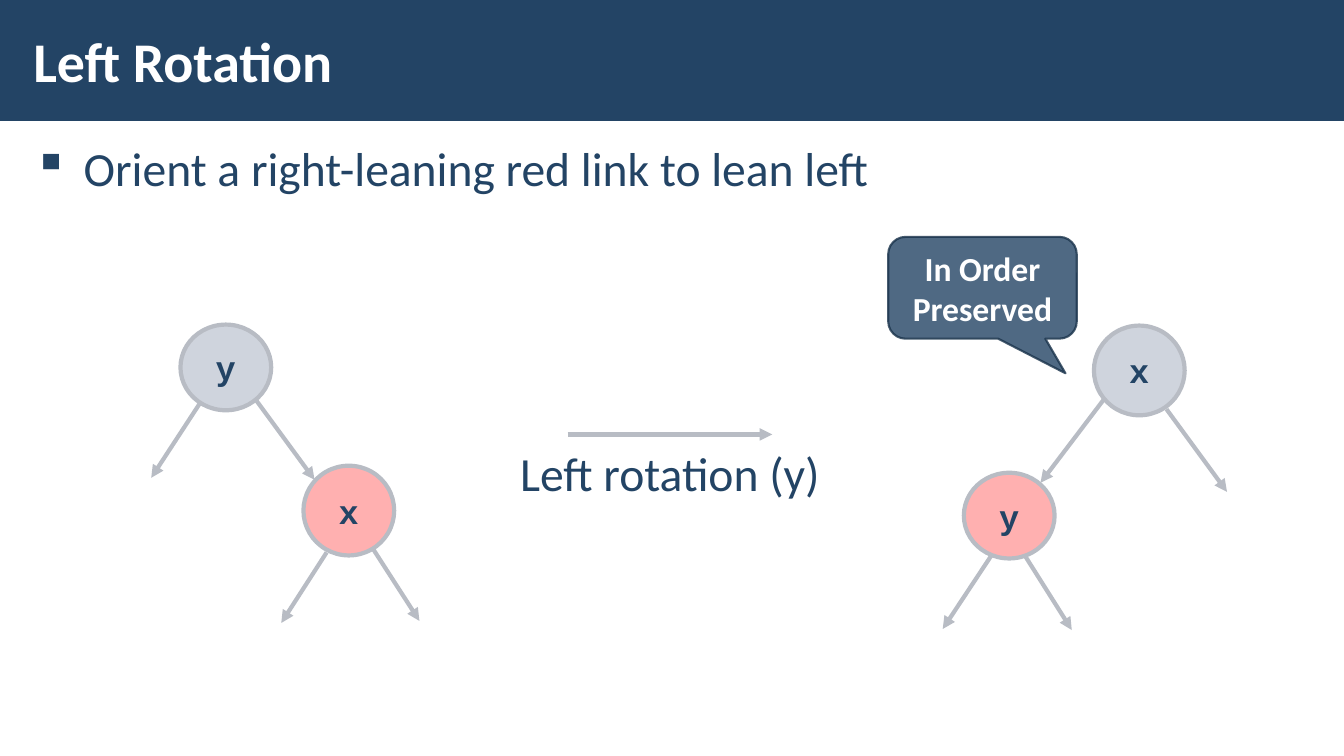
from lxml import etree
from pptx import Presentation
from pptx.dml.color import RGBColor
from pptx.enum.shapes import MSO_CONNECTOR, MSO_SHAPE
from pptx.enum.text import MSO_ANCHOR, MSO_AUTO_SIZE, PP_ALIGN
from pptx.oxml.ns import qn
from pptx.util import Inches, Pt

STRAIGHT = MSO_CONNECTOR.STRAIGHT
RECTANGLE, OVAL = MSO_SHAPE.RECTANGLE, MSO_SHAPE.OVAL
CALLOUT = MSO_SHAPE.ROUNDED_RECTANGULAR_CALLOUT
TOP, MIDDLE = MSO_ANCHOR.TOP, MSO_ANCHOR.MIDDLE
LEFT, CENTER = PP_ALIGN.LEFT, PP_ALIGN.CENTER
NO_AUTOFIT = MSO_AUTO_SIZE.NONE

NAVY = RGBColor(0x23, 0x44, 0x65)
DARK_NAVY = RGBColor(0x1A, 0x33, 0x4B)
WHITE = RGBColor(0xFF, 0xFF, 0xFF)
BLACK_NODE = RGBColor(0xA1, 0xAA, 0xBC)
RED_NODE = RGBColor(0xFF, 0xB0, 0xB0)
LINK = RGBColor(0xB8, 0xBC, 0xC4)

COLUMNS, ROWS = 133.3, 75


class RotationSlide:
    text_font = "Calibri"
    node_font = "Courier New"
    link_width = 3
    node_width = 9

    def __init__(self, deck):
        self.column = deck.slide_width / COLUMNS
        self.row = deck.slide_height / ROWS
        self.slide = deck.slides.add_slide(deck.slide_layouts[5])
        self.shapes = self.slide.shapes

    def place(self, left, top, width, height):
        return (round(left * self.column), round(top * self.row),
                round(width * self.column), round(height * self.row))

    def set_text(self, frame, text, size, color, align=CENTER, bold=False,
                 anchor=MIDDLE, font=None, spacing=1.0, insets=(0.1, 0.05), bullet=None):
        frame.word_wrap = True
        frame.auto_size = NO_AUTOFIT
        frame.vertical_anchor = anchor
        frame.margin_left = frame.margin_right = Inches(insets[0])
        frame.margin_top = frame.margin_bottom = Inches(insets[1])
        frame.text = text
        paragraph = frame.paragraphs[0]
        paragraph.alignment = align
        paragraph.line_spacing = spacing
        if bullet:
            self.add_bullet(paragraph, bullet, color)
        paragraph.font.name = font or self.text_font
        paragraph.font.size = Pt(size)
        paragraph.font.bold = bold
        paragraph.font.color.rgb = color

    def add_bullet(self, paragraph, mark, color):
        properties = paragraph._p.get_or_add_pPr()
        properties.set("marL", str(Inches(0.5)))
        properties.set("indent", str(-Inches(0.5)))
        tint = etree.SubElement(properties, qn("a:buClr"))
        etree.SubElement(tint, qn("a:srgbClr"), val=str(color))
        etree.SubElement(properties, qn("a:buChar"), char=mark)

    def set_opacity(self, element, percent):
        for color in element.iter(qn("a:srgbClr")):
            etree.SubElement(color, qn("a:alpha"), val=str(percent * 1000))

    def shape(self, kind, box, fill, line=None, line_width=0, opacity=100):
        shape = self.shapes.add_shape(kind, *self.place(*box))
        shape.shadow.inherit = False
        shape.fill.solid()
        shape.fill.fore_color.rgb = fill
        if opacity < 100:
            self.set_opacity(shape._element.spPr, opacity)
        if line is None:
            shape.line.fill.background()
        else:
            shape.line.color.rgb = line
            shape.line.width = Pt(line_width)
        return shape

    def title(self, text):
        band = self.shape(RECTANGLE, (0, 0, COLUMNS, 12), NAVY)
        heading = self.shapes.title
        band._element.addnext(heading._element)
        heading.left, heading.top, heading.width, heading.height = self.place(2.1, 1.1, 104, 9.7)
        self.set_text(heading.text_frame, text, 40, WHITE, LEFT, True, insets=(0.12, 0.04))

    def text(self, box, text, **style):
        frame = self.shapes.add_textbox(*self.place(*box)).text_frame
        self.set_text(frame, text, 34, NAVY, anchor=TOP, insets=(0.12, 0.04), **style)

    def node(self, label, left, top, height, fill, opacity=100):
        node = self.shape(OVAL, (left, top, self.node_width, height), fill,
                          LINK, self.link_width, opacity)
        self.set_text(node.text_frame, label, 24, NAVY, bold=True, font=self.node_font)

    def arrow(self, start, end):
        x1, y1, x2, y2 = self.place(*start, *end)
        arrow = self.shapes.add_connector(STRAIGHT, x1, y1, x2, y2)
        arrow.line.color.rgb = LINK
        arrow.line.width = Pt(self.link_width)
        etree.SubElement(arrow.line._get_or_add_ln(), qn("a:tailEnd"), type="triangle")
        etree.SubElement(arrow._element.spPr, qn("a:effectLst"))

    def callout(self, box, text, adjustments):
        callout = self.shape(CALLOUT, box, NAVY, DARK_NAVY, 1.5)
        self.set_opacity(callout._element.spPr, 80)
        for index, value in enumerate(adjustments):
            callout.adjustments[index] = value
        self.set_text(callout.text_frame, text, 24, WHITE, bold=True)


def main():
    deck = Presentation()
    deck.slide_width, deck.slide_height = Inches(13.33), Inches(7.5)
    page = RotationSlide(deck)

    page.title("Left Rotation")
    page.text((2.1, 13.1, 129.2, 56.9), "Orient a right-leaning red link to lean left",
              align=LEFT, spacing=1.05, bullet="▪")

    nodes = [
        ("y", 17.9, 32.2, 8.5, BLACK_NODE, 50),
        ("x", 30.1, 46.2, 8.9, RED_NODE),
        ("x", 108.5, 32.3, 8.9, BLACK_NODE, 50),
        ("y", 95.6, 46.9, 8.5, RED_NODE),
    ]
    for node in nodes:
        page.node(*node)

    links_before = [
        ((19.9, 39.9), (15, 47.4)), ((25.4, 39.7), (31.2, 47.6)),
        ((32.4, 54.8), (27.9, 61.8)), ((36.9, 54.3), (41.6, 61.6)),
    ]
    links_after = [
        ((109.5, 39.6), (103.2, 47.9)), ((115.7, 40.6), (121.7, 48.8)),
        ((98.4, 55), (93.5, 62.4)), ((101.7, 55.2), (106.3, 62.5)),
    ]
    rotation = ((56.3, 43.1), (76.6, 43.1))
    for start, end in [*links_before, *links_after, rotation]:
        page.arrow(start, end)

    page.text((42.9, 44.1, 47.1, 6.5), "Left rotation (y)", spacing=0.95)
    page.callout((88.1, 23.5, 18.7, 10.1), "In Order Preserved", (0.44, 0.84, 0.17))

    deck.save("out.pptx")


if __name__ == "__main__":
    main()
